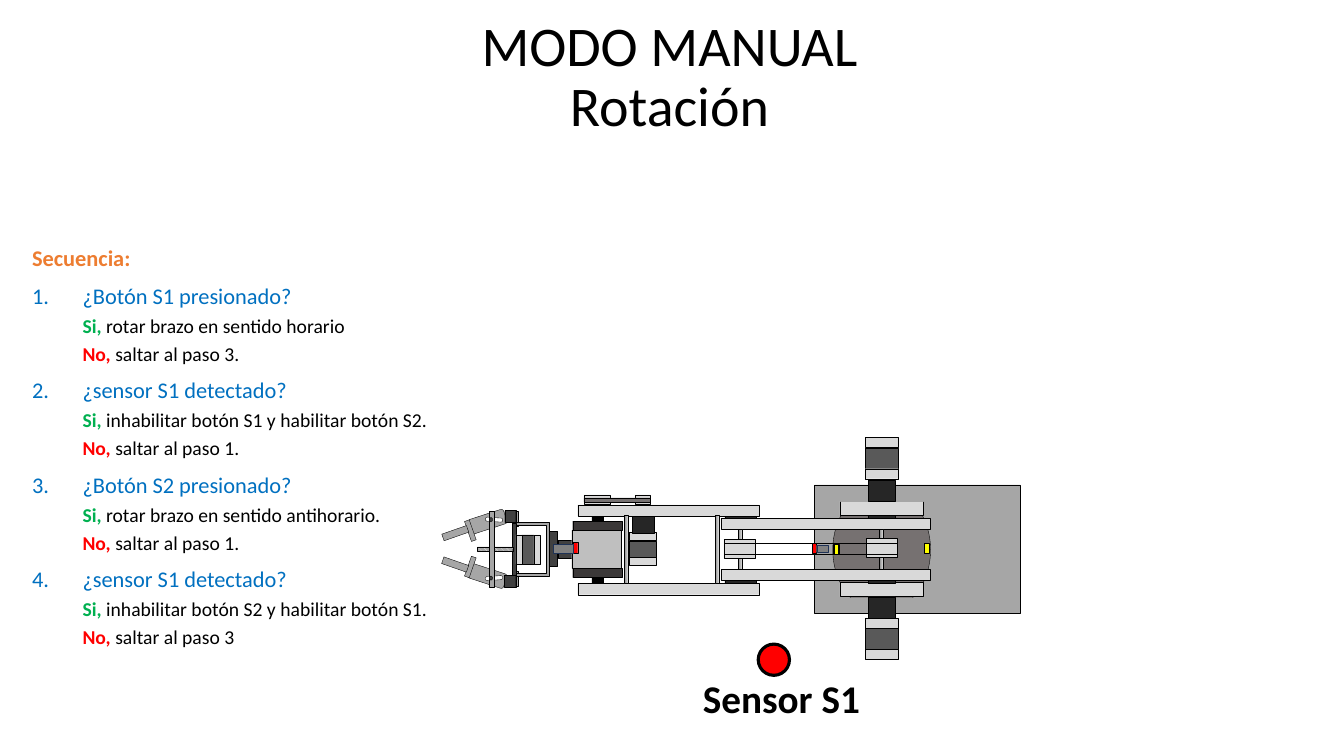
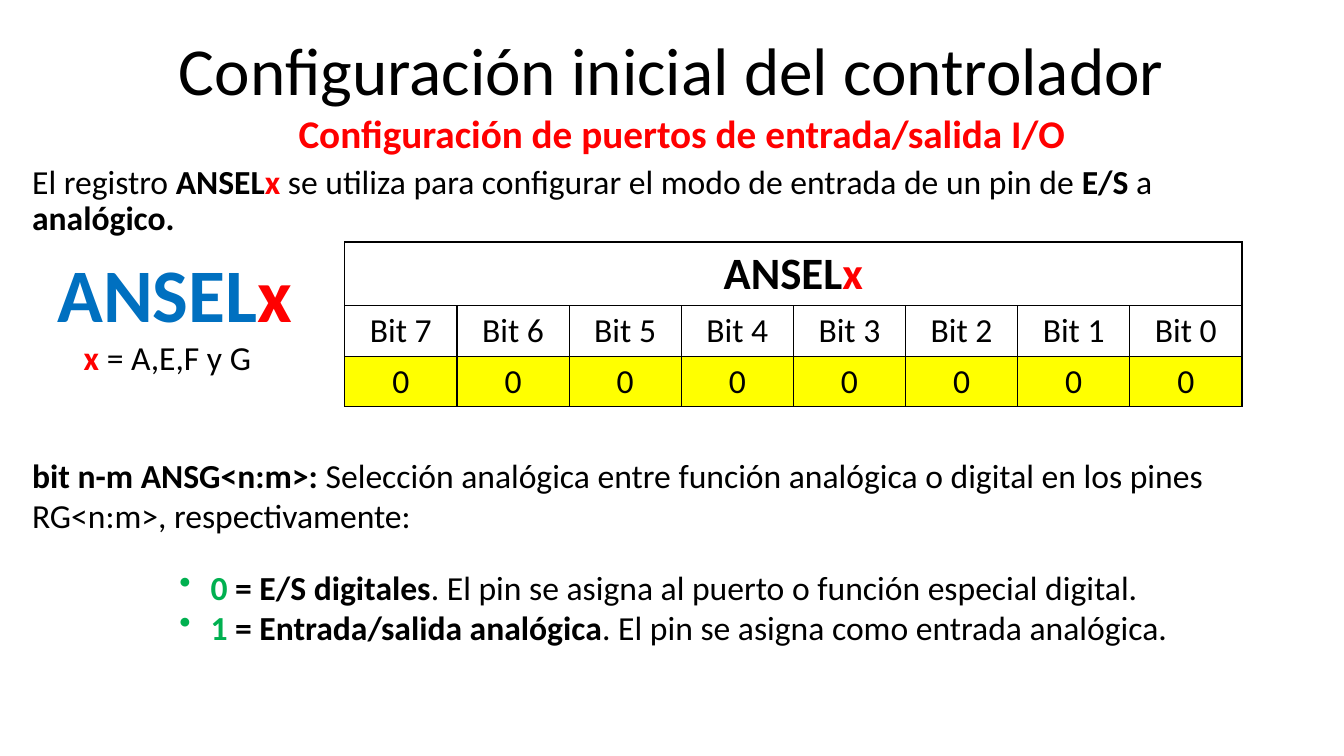
import dataclasses
import typing

import pptx
import pptx.dml.color
import pptx.enum.dml
import pptx.enum.shapes
import pptx.enum.text
import pptx.util
from lxml import etree
from pptx.util import Inches, Pt

SHAPE = pptx.enum.shapes.MSO_SHAPE
ALIGN = pptx.enum.text.PP_ALIGN
PATTERN = pptx.enum.dml.MSO_PATTERN_TYPE
DRAWING_NS = "http://schemas.openxmlformats.org/drawingml/2006/main"


@dataclasses.dataclass(frozen=True)
class Theme:
    font: str = "Calibri"
    black: str = "000000"
    white: str = "FFFFFF"
    red: str = "FF0000"
    green: str = "00B050"
    blue: str = "0070C0"
    orange: str = "ED7D31"
    yellow: str = "FFFF00"
    navy: str = "1E3256"
    light: str = "D9D9D9"
    silver: str = "BFBFBF"
    metal: str = "A6A6A6"
    mid: str = "808080"
    warm: str = "767171"
    motor: str = "595959"
    dark: str = "404040"
    clamp: str = "3B3838"
    coal: str = "262626"
    register: int = 54
    title: int = 48
    mode: int = 40
    header: int = 32
    subtitle: int = 28
    body: int = 24
    step: int = 16
    answer: int = 14


T = Theme()


@dataclasses.dataclass
class Part:
    """Piece of the arm; a second top places its mirrored twin."""
    left: float
    tops: tuple
    width: float
    height: float
    fill: typing.Any
    rot: float = 0
    kind: typing.Any = SHAPE.RECTANGLE
    adj: typing.Optional[float] = None
    line: str = T.black
    weight: float = 0.25


@dataclasses.dataclass
class Para:
    """Paragraph whose runs are (text, colour, bold)."""
    runs: list
    size: int = T.body
    align: typing.Any = ALIGN.LEFT
    spacing: typing.Optional[float] = None
    before: float = 0
    level: int = 0
    indent: float = 0
    bullet: typing.Optional[str] = None


# Content: manual rotation sequence
STEPS = [
    ("¿Botón S1 presionado?", "rotar brazo en sentido horario", "saltar al paso 3."),
    ("¿sensor S1 detectado?", "inhabilitar botón S1 y habilitar botón S2.", "saltar al paso 1."),
    ("¿Botón S2 presionado?", "rotar brazo en sentido antihorario.", "saltar al paso 1."),
    ("¿sensor S1 detectado?", "inhabilitar botón S2 y habilitar botón S1.", "saltar al paso 3"),
]

# Content: robot arm seen from above, back to front
SPRING = (PATTERN.DARK_VERTICAL, T.mid, T.light)
THREAD = (PATTERN.WIDE_DOWNWARD_DIAGONAL, T.white, T.metal)
ROD = (T.mid, T.light)
ROUND, OVAL = SHAPE.ROUNDED_RECTANGLE, SHAPE.OVAL

BASE = [
    Part(8.08, (4.81,), 2.04, 1.27, T.metal),
    Part(8.06, (5.39,), 0.04, 0.1, T.red),
    Part(8.1, (5.41,), 0.11, 0.07, SPRING, line=T.navy),
]
TURNTABLE = [
    Part(8.26, (4.84,), 0.97, 1.23, T.warm, kind=OVAL),
    Part(8.33, (4.97, 5.78), 0.83, 0.14, T.light),
    Part(8.33, (4.83, 5.93), 0.83, 0.14, T.metal, line=T.metal),
    Part(8.58, (4.45, 6.23), 0.33, 0.21, T.motor),
    Part(8.58, (4.34, 6.44), 0.33, 0.1, T.light),
    Part(8.58, (4.65, 6.13), 0.33, 0.1, T.light),
    Part(8.61, (4.76, 5.92), 0.27, 0.21, T.coal),
    Part(8.61, (5.11, 5.75), 0.27, 0.04, T.coal),
]
GRIPPER = [
    Part(4.76, (4.99, 5.53), 0.15, 0.37, T.metal, 72, ROUND),
    Part(4.88, (5.07, 5.65), 0.04, 0.17, T.white, 93.9, ROUND, 0.405),
    Part(4.56, (5.24, 5.6), 0.21, 0.05, T.metal, 70.8),
    Part(4.48, (5.16, 5.47), 0.07, 0.26, T.metal, 70.8),
    Part(5.52, (5.38,), 0.18, 0.14, T.dark, 90, weight=1),
    Part(5.3, (5.39,), 0.35, 0.11, T.dark, 90, weight=1),
    Part(5.05, (5.13, 5.73), 0.15, 0.03, T.metal, 90),
    Part(5, (5.27,), 0.53, 0.36, T.metal, 90, SHAPE.FRAME, 0.079),
    Part(4.84, (5.43,), 0.52, 0.04, T.dark, 90),
    Part(5, (5.07, 5.71), 0.12, 0.11, T.dark, 90),
    Part(5.09, (5.39,), 0.29, 0.12, T.motor, 90),
    Part(5.18, (5.42,), 0.29, 0.06, T.light, 90),
    Part(5, (5.42,), 0.29, 0.06, T.light, 90),
    Part(4.89, (5.27,), 0.04, 0.35, THREAD, 90),
    Part(4.85, (5.07,), 0.05, 0.76, T.metal),
    Part(4.85, (5.14, 5.72), 0.04, 0.03, T.dark, 90, OVAL),
]
FOREARM = [
    Part(5.87, (5.11, 5.73), 0.11, 0.06, T.black),
    Part(7.19, (5.08, 5.75), 0.31, 0.06, T.coal),
    Part(5.73, (5.01, 5.79), 1.8, 0.11, T.light),
    Part(6.24, (5.37,), 0.27, 0.17, T.motor),
    Part(6.24, (5.28, 5.53), 0.27, 0.08, T.light),
    Part(6.27, (5.12,), 0.22, 0.17, T.coal),
    Part(5.79, (4.91,), 0.26, 0.09, T.light),
    Part(6.3, (4.91,), 0.15, 0.09, T.light),
    Part(5.79, (4.94,), 0.66, 0.04, T.warm),
    Part(5.67, (5.26,), 0.49, 0.38, T.silver),
    Part(5.68, (5.17, 5.64), 0.49, 0.09, T.clamp),
    Part(5.69, (5.38,), 0.04, 0.11, T.red),
    Part(5.49, (5.4,), 0.2, 0.09, SPRING, line=T.navy),
    Part(7.09, (5.11,), 0.04, 0.68, ROD),
    Part(6.19, (5.11,), 0.04, 0.68, ROD),
]
UPPER_ARM = [
    Part(7.15, (5.14, 5.65), 2.08, 0.11, T.light),
    Part(7.32, (5.25,), 0.04, 0.4, ROD),
    Part(7.18, (5.35,), 0.31, 0.19, T.light),
    Part(8.72, (5.25,), 0.04, 0.4, ROD),
    Part(8.59, (5.34,), 0.31, 0.19, T.light),
    Part(7.18, (5.39,), 1.72, 0.11, None),
    Part(8.27, (5.4,), 0.05, 0.1, T.yellow, weight=1),
    Part(9.17, (5.39,), 0.05, 0.1, T.yellow, weight=1),
]
SENSOR = Part(7.52, (6.39,), 0.31, 0.31, T.red, kind=OVAL, weight=2.25)

# Content: analogue register
BITS = [f"Bit {bit}" for bit in range(7, -1, -1)]
BIT_VALUES = ["0"] * len(BITS)
ROW_HEIGHTS = (0.63, 0.5, 0.5)
MODES = [
    ("0 ", "= E/S digitales", ". El pin se asigna al puerto o función especial digital."),
    ("1 ", "= Entrada/salida analógica", ". El pin se asigna como entrada analógica."),
]


# Shared helpers
def rgb(value):
    return pptx.dml.color.RGBColor.from_string(value)


def write(paragraph, para):
    props = paragraph._p.get_or_add_pPr()
    if para.indent:
        props.set("marL", str(Inches(para.indent)))
        props.set("indent", str(-Inches(para.indent) if para.bullet else 0))
    if para.bullet == "1.":
        etree.SubElement(props, f"{{{DRAWING_NS}}}buAutoNum", type="arabicPeriod")
    elif para.bullet:
        etree.SubElement(props, f"{{{DRAWING_NS}}}buChar", char=para.bullet)
    paragraph.level = para.level
    paragraph.alignment = para.align
    if para.spacing:
        paragraph.line_spacing = para.spacing
    if para.before:
        paragraph.space_before = Pt(para.before)
    paragraph.font.name = T.font
    paragraph.font.size = Pt(para.size)
    for text, colour, bold in para.runs:
        run = paragraph.add_run()
        run.text = text
        run.font.color.rgb = rgb(colour)
        run.font.bold = bold


def add_text(slide, box, *paras):
    frame = slide.shapes.add_textbox(*map(Inches, box)).text_frame
    frame.word_wrap = True
    for index, para in enumerate(paras):
        write(frame.add_paragraph() if index else frame.paragraphs[0], para)


def add_titled_slide(deck, text, box, size):
    slide = deck.slides.add_slide(deck.slide_layouts[5])
    title = slide.shapes.title
    title.left, title.top, title.width, title.height = map(Inches, box)
    frame = title.text_frame
    frame.text = text
    frame.auto_size = pptx.enum.text.MSO_AUTO_SIZE.NONE
    frame.vertical_anchor = pptx.enum.text.MSO_ANCHOR.BOTTOM
    heading = frame.paragraphs[0]
    heading.alignment = ALIGN.CENTER
    heading.line_spacing = 0.9
    heading.font.name = T.font
    heading.font.size = Pt(size)
    heading.font.color.rgb = rgb(T.black)
    return slide


def paint(fill, value):
    if value is None:
        fill.background()
    elif isinstance(value, str):
        fill.solid()
        fill.fore_color.rgb = rgb(value)
    elif len(value) == 3:
        fill.patterned()
        fill.pattern = value[0]
        fill.fore_color.rgb, fill.back_color.rgb = map(rgb, value[1:])
    else:
        fill.gradient()
        fill.gradient_angle = 0
        for stop, colour in zip(fill.gradient_stops, value):
            stop.color.rgb = rgb(colour)


def draw(shapes, parts):
    for part in parts:
        for top, turn in zip(part.tops, (part.rot, -part.rot)):
            piece = shapes.add_shape(part.kind, *map(Inches, (part.left, top, part.width, part.height)))
            piece.rotation = turn
            if part.adj is not None:
                piece.adjustments[0] = part.adj
            piece.shadow.inherit = False
            paint(piece.fill, part.fill)
            piece.line.color.rgb = rgb(part.line)
            piece.line.width = Pt(part.weight)


def set_borders(cell):
    props = cell._tc.get_or_add_tcPr()
    for index, side in enumerate(("lnL", "lnR", "lnT", "lnB")):
        border = etree.Element(f"{{{DRAWING_NS}}}{side}", w=str(Pt(1)))
        solid = etree.SubElement(border, f"{{{DRAWING_NS}}}solidFill")
        etree.SubElement(solid, f"{{{DRAWING_NS}}}srgbClr", val=T.black)
        props.insert(index, border)


# Slides
def build_rotation(deck):
    slide = add_titled_slide(deck, "MODO MANUAL\vRotación", (0.59, 0.02, 12.1, 1.41), T.mode)
    draw(slide.shapes.add_group_shape().shapes, BASE)
    sequence = [Para([("Secuencia:", T.orange, True)], T.step, spacing=0.9)]
    for question, yes, no in STEPS:
        sequence.append(Para([(question, T.blue, False)], T.step, spacing=0.9,
                             before=10, indent=0.5, bullet="1."))
        for label, colour, action in (("Si, ", T.green, yes), ("No, ", T.red, no)):
            sequence.append(Para([(label, colour, True), (action, T.black, False)], T.answer,
                                 spacing=0.9, before=5, level=1, indent=0.5))
    add_text(slide, (0.22, 2.4, 4.78, 4.32), *sequence)
    draw(slide.shapes, [SENSOR])
    add_text(slide, (6.85, 6.69, 1.8, 0.48),
             Para([("Sensor S1", T.black, True)], T.subtitle, ALIGN.CENTER, 0.9))
    draw(slide.shapes.add_group_shape().shapes, TURNTABLE + GRIPPER + FOREARM + UPPER_ARM)


def build_register(deck):
    slide = add_titled_slide(deck, "Configuración inicial del controlador",
                             (0.59, 0.2, 12.14, 0.94), T.title)
    add_text(slide, (2.57, 1.09, 8.38, 0.71),
             Para([("Configuración de puertos de entrada/salida I/O", T.red, True)],
                  T.subtitle, ALIGN.CENTER, 0.9))
    add_text(slide, (0.22, 1.59, 12.52, 0.94), Para([
        ("El registro ", T.black, False), ("ANSEL", T.black, True), ("x", T.red, True),
        (" se utiliza para configurar el modo de entrada de un pin de ", T.black, False),
        ("E/S ", T.black, True), ("a ", T.black, False), ("analógico.", T.black, True)], spacing=0.9))
    add_text(slide, (0.47, 2.4, 2.57, 1.01),
             Para([("ANSEL", T.blue, True), ("x", T.red, True)], T.register))

    # Register table
    table = slide.shapes.add_table(len(ROW_HEIGHTS), len(BITS), *map(
        Inches, (3.42, 2.4, 8.9, sum(ROW_HEIGHTS)))).table
    table.first_row = table.horz_banding = False
    for row, height in zip(table.rows, ROW_HEIGHTS):
        row.height = Inches(height)
    for cell in table.iter_cells():
        cell.fill.background()
        set_borders(cell)
    table.cell(0, 0).merge(table.cell(0, len(BITS) - 1))
    write(table.cell(0, 0).text_frame.paragraphs[0],
          Para([("ANSEL", T.black, True), ("x", T.red, True)], T.header, ALIGN.CENTER))
    for row, (texts, colour) in enumerate(((BITS, None), (BIT_VALUES, T.yellow)), start=1):
        for column, text in enumerate(texts):
            cell = table.cell(row, column)
            paint(cell.fill, colour)
            write(cell.text_frame.paragraphs[0],
                  Para([(text, T.black, False)], align=ALIGN.CENTER))

    add_text(slide, (0.24, 3.29, 2.84, 0.5),
             Para([("x", T.red, True), (" = A,E,F y G", T.black, False)], align=ALIGN.CENTER))
    add_text(slide, (0.22, 4.46, 12.77, 0.91), Para([
        ("bit n-m ANSG<n:m>: ", T.black, True),
        ("Selección analógica entre función analógica o digital en los pines RG<n:m>, "
         "respectivamente:", T.black, False)]))
    add_text(slide, (1.68, 5.57, 10.64, 0.91), *[
        Para([(value, T.green, True), (name, T.black, True), (detail, T.black, False)],
             indent=0.31, bullet="•") for value, name, detail in MODES])


def main():
    deck = pptx.Presentation()
    deck.slide_width, deck.slide_height = Inches(13.33), Inches(7.5)
    build_rotation(deck)
    build_register(deck)
    deck.save("out.pptx")


if __name__ == "__main__":
    main()
